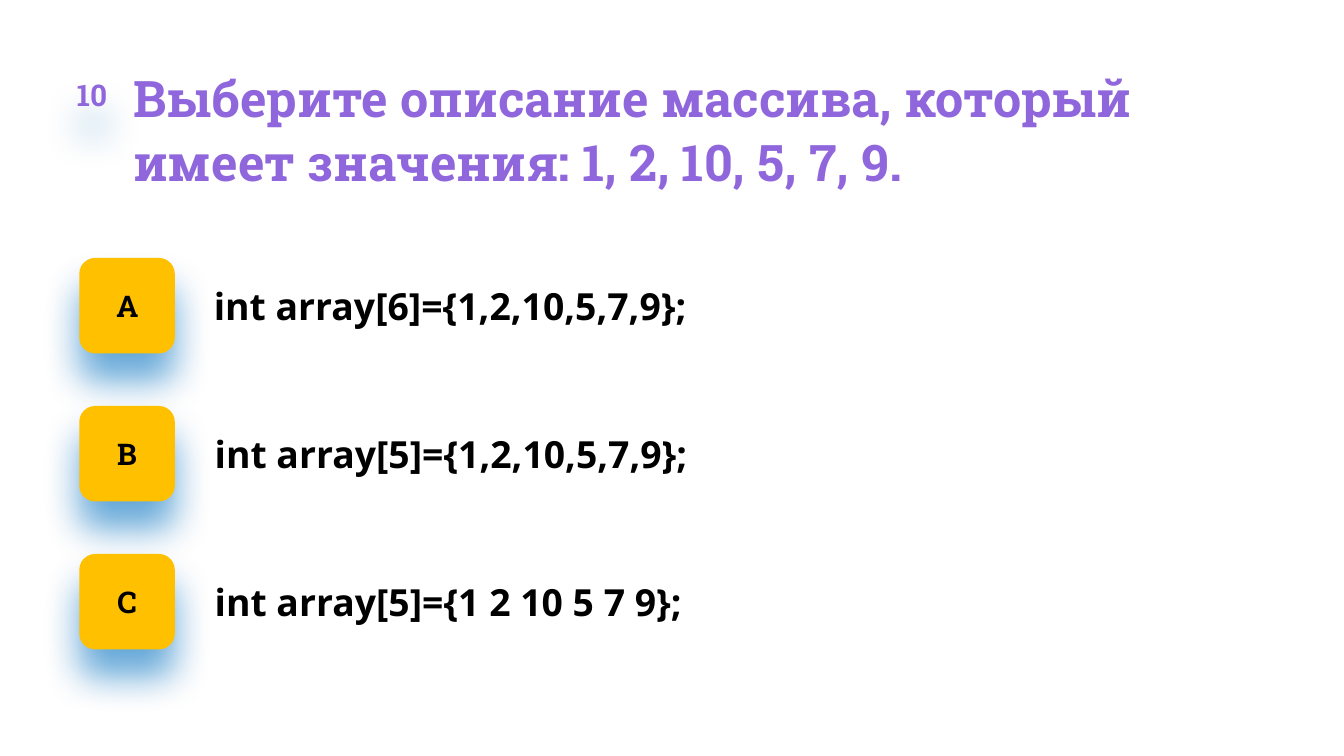
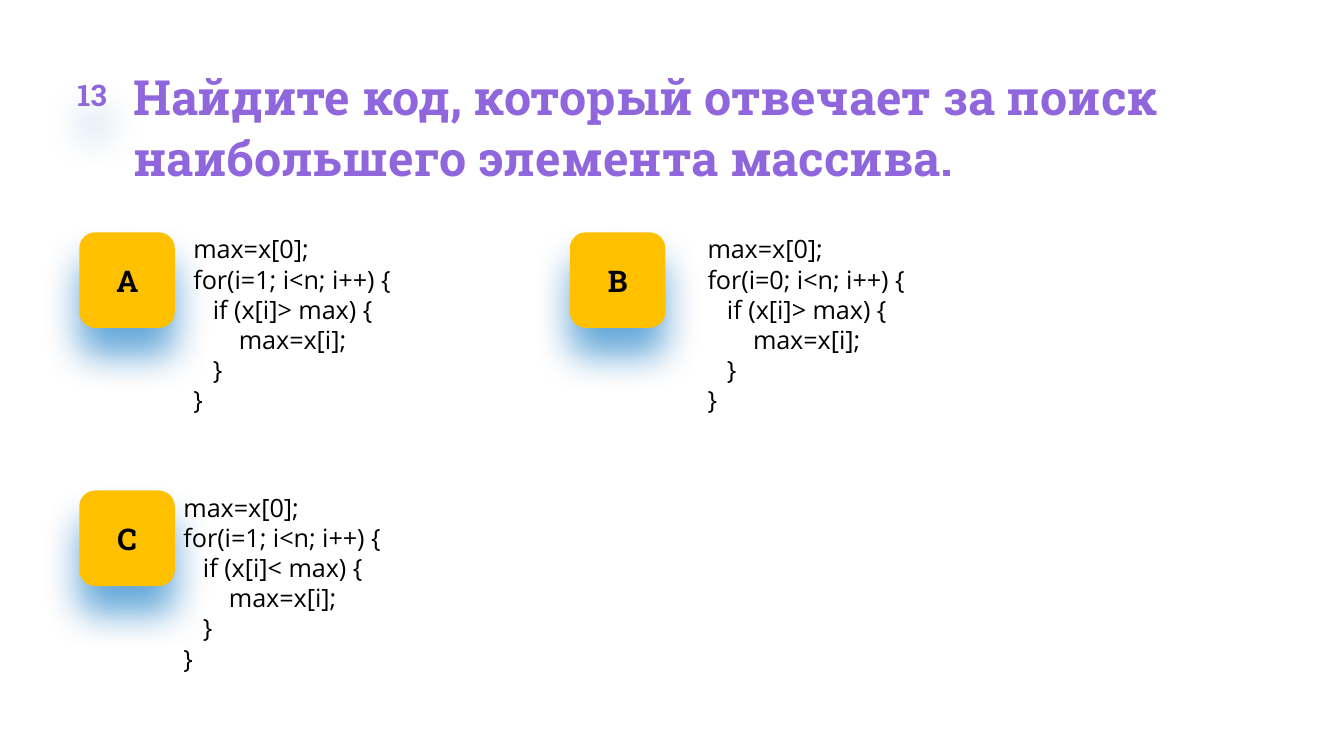
from dataclasses import dataclass
from lxml.etree import SubElement
from pptx import Presentation
from pptx.dml.color import RGBColor
from pptx.enum.shapes import MSO_SHAPE
from pptx.enum.text import MSO_ANCHOR, MSO_AUTO_SIZE, PP_ALIGN
from pptx.oxml.ns import qn
from pptx.util import Pt


@dataclass(frozen=True)
class Theme:
    """Colours, fonts and type sizes of the quiz."""
    violet: str = "9066DC"
    amber: str = "FFC000"
    black: str = "000000"
    glow: str = "0070C0"
    slab: str = "Roboto Slab"
    sans: str = "Open Sans"
    label: float = 16
    answer: float = 20
    code: float = 13.5


class Deck:
    """Holds the style and the current slide."""

    def __init__(self, theme):
        """Open an empty deck."""
        self.theme = theme
        self.file = Presentation()
        self.file.slide_width, self.file.slide_height = Pt(720), Pt(405)

    def fill(self, frame, text, look, extra, **format):
        """Fill a frame with text, one paragraph a line."""
        size, color, name, bold = look
        base = dict(word_wrap=True, margin_left=0, margin_right=0,
                    margin_top=0, margin_bottom=0)
        for key, value in (base | extra).items():
            setattr(frame, key, value)
        font = dict(size=Pt(size), name=name, bold=bold)
        for num, line in enumerate(text.split("\n")):
            para = frame.paragraphs[0] if num == 0 else frame.add_paragraph()
            run = para.add_run()
            run.text = line
            for key, value in format.items():
                setattr(para, key, value)
            for key, value in font.items():
                setattr(run.font, key, value)
            run.font.color.rgb = RGBColor.from_string(color)

    def text(self, box, text, look, inset=0, **format):
        """Add a text box that grows with its text."""
        shape = self.slide.shapes.add_textbox(*map(Pt, box))
        extra = dict(margin_left=Pt(inset),
                     auto_size=MSO_AUTO_SIZE.SHAPE_TO_FIT_TEXT)
        self.fill(shape.text_frame, text, look, extra, **format)

    def shade(self, shape):
        """Give a shape a soft shadow below it."""
        shape.shadow.inherit = False
        effects = shape._element.spPr.find(qn("a:effectLst"))
        outer = SubElement(effects, qn("a:outerShdw"),
                           blurRad=str(Pt(20)), dist=str(Pt(15)),
                           dir="5400000", algn="t", rotWithShape="0")
        color = SubElement(outer, qn("a:srgbClr"), val=self.theme.glow)
        SubElement(color, qn("a:alpha"), val="60000")

    def tile(self, left, top, side, text, ink, paint=None):
        """Add a rounded square with a centred label."""
        shape = self.slide.shapes.add_shape(
            MSO_SHAPE.ROUNDED_RECTANGLE, *map(Pt, (left, top, side, side)))
        shape.line.fill.background()
        if paint:
            shape.fill.solid()
            shape.fill.fore_color.rgb = RGBColor.from_string(paint)
        else:
            shape.fill.background()
        self.shade(shape)
        look = self.theme.label, ink, self.theme.slab, True
        extra = dict(vertical_anchor=MSO_ANCHOR.MIDDLE)
        self.fill(shape.text_frame, text, look, extra,
                  alignment=PP_ALIGN.CENTER)

    def ask(self, num, title, size, width):
        """Start a slide with its number and question."""
        self.slide = self.file.slides.add_slide(self.file.slide_layouts[6])
        look = size, self.theme.violet, self.theme.slab, True
        self.text((71.3, 33.8, width, size * 2.5), title, look,
                  line_spacing=1.06)
        self.tile(28.1, 29.5, 42.5, num, self.theme.violet)

    def badge(self, left, top, mark):
        """Add the lettered tile of an answer."""
        self.tile(left, top, 51.2, mark, self.theme.black, self.theme.amber)

    def answer(self, box, text):
        """Add a one-line answer in bold."""
        look = self.theme.answer, self.theme.black, self.theme.sans, True
        self.text(box, text, look, inset=10)

    def code(self, box, text):
        """Add an answer of several code lines."""
        look = self.theme.code, self.theme.black, self.theme.sans, False
        self.text(box, text, look, inset=10)


LOOP = """max=x[0];
for(i={start}; i<n; i++) {{
   if (x[i]{sign} max) {{
       max=x[i];
   }}
}}"""


def main():
    """Build both questions and save them."""
    deck = Deck(Theme())
    edge = 42.5

    deck.ask("10", "Выберите описание массива, который имеет значения: "
             "1, 2, 10, 5, 7, 9.", 27, 628)
    rows = [("А", 104.5, 572, "int array[6]={1,2,10,5,7,9};"),
            ("B", 105, 521, "int array[5]={1,2,10,5,7,9};"),
            ("C", 105, 587, "int array[5]={1 2 10 5 7 9};")]
    for num, (mark, left, width, text) in enumerate(rows):
        top = 138.2 + 79.3 * num
        deck.badge(edge, top, mark)
        deck.answer((left, top + 13.3, width, 24.5), text)

    deck.ask("13", "Найдите код, который отвечает за поиск наибольшего "
             "элемента массива.", 26, 639)
    cells = [("А", edge, 124.5, 93.6, 371, 1, ">"),
             ("B", 305.3, 124.5, 369, 312, 0, ">"),
             ("C", edge, 262.8, 88.3, 371, 1, "<")]
    for mark, left, top, start, width, first, sign in cells:
        deck.badge(left, top, mark)
        deck.code((start, top + 0.7, width, 98),
                  LOOP.format(start=first, sign=sign))

    deck.file.save("out.pptx")


if __name__ == "__main__":
    main()
